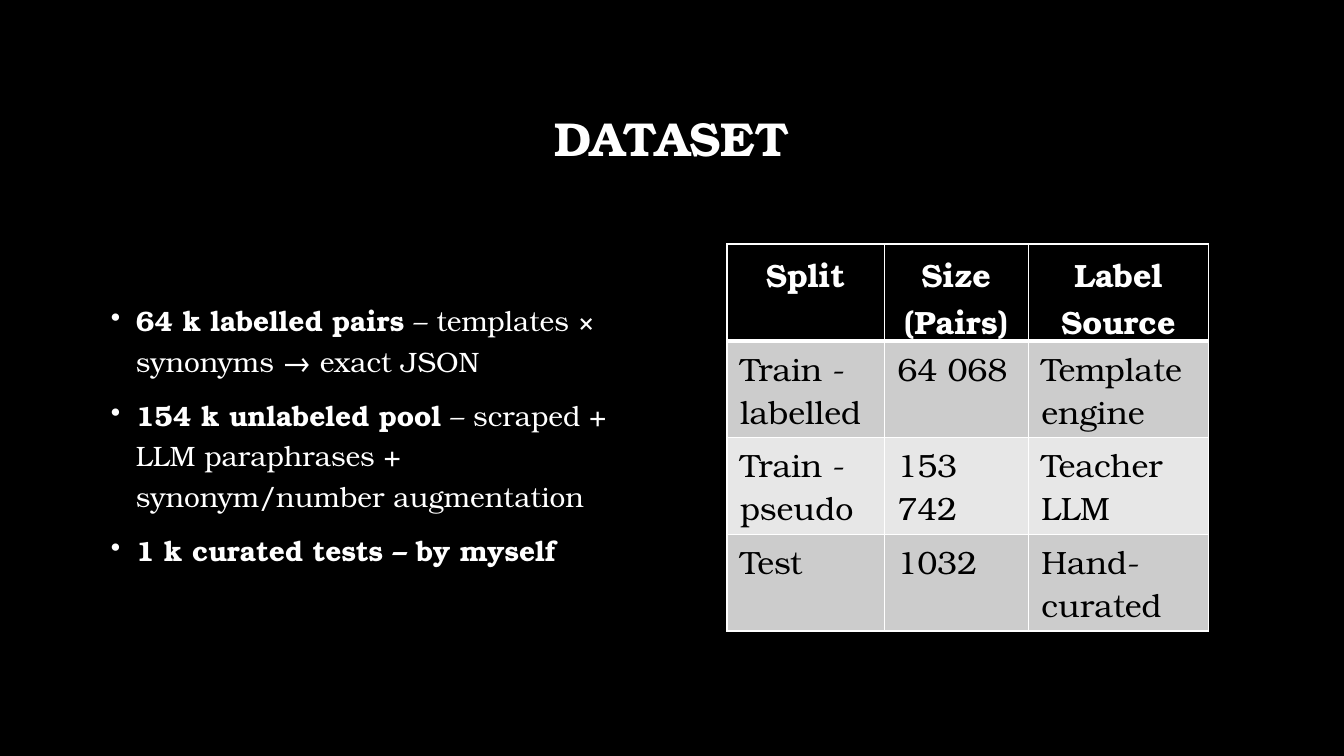
import pptx
import pptx.dml.color
import pptx.enum.text
import pptx.oxml
import pptx.oxml.ns
import pptx.util

Inches = pptx.util.Inches
Pt = pptx.util.Pt
RGBColor = pptx.dml.color.RGBColor
Align = pptx.enum.text.PP_ALIGN
Anchor = pptx.enum.text.MSO_ANCHOR

BLACK = RGBColor(0x00, 0x00, 0x00)
WHITE = RGBColor(0xFF, 0xFF, 0xFF)
GREY = RGBColor(0xCC, 0xCC, 0xCC)
PALE = RGBColor(0xE7, 0xE7, 0xE7)

BULLETS = [
    [("64 k labelled pairs", True),
     (" – templates × synonyms → exact JSON", False)],
    [("154 k unlabeled pool", True),
     (" – scraped + LLM paraphrases + synonym/number augmentation", False)],
    [("1 k curated tests – by myself", True)],
]
SPLITS = [
    ["Split", "Size (Pairs)", "Label Source"],
    ["Train - labelled", "64 068", "Template engine"],
    ["Train - pseudo", "153 742", "Teacher LLM"],
    ["Test", "1032", "Hand-curated"],
]


class Deck:
    font = "TeX Gyre Bonum"

    def __init__(self):
        self.file = pptx.Presentation()
        self.file.slide_width = Inches(13.33)
        self.file.slide_height = Inches(7.5)
        self.slide = self.file.slides.add_slide(self.file.slide_layouts[5])
        fill = self.slide.background.fill
        fill.solid()
        fill.fore_color.rgb = BLACK

    def run(self, para, text, size, color=WHITE, bold=False):
        run = para.add_run()
        run.text = text
        run.font.name = self.font
        run.font.size = Pt(size)
        run.font.bold = bold
        run.font.color.rgb = color

    def title(self, text, left, top, width, height):
        shape = self.slide.shapes.title
        shape.left, shape.top = Inches(left), Inches(top)
        shape.width, shape.height = Inches(width), Inches(height)
        frame = shape.text_frame
        frame.vertical_anchor = Anchor.MIDDLE
        para = frame.paragraphs[0]
        para.alignment = Align.CENTER
        para.line_spacing = 0.9
        self.run(para, text, 34, bold=True)

    def bullets(self, items, left, top, width, height):
        box = self.slide.shapes.add_textbox(
            Inches(left), Inches(top), Inches(width), Inches(height))
        frame = box.text_frame
        frame.word_wrap = True
        for i, item in enumerate(items):
            para = frame.add_paragraph() if i else frame.paragraphs[0]
            props = para._p.get_or_add_pPr()
            props.set("marL", str(Inches(0.25)))
            props.set("indent", str(-Inches(0.25)))
            mark = pptx.oxml.ns.qn("a:buChar")
            props.append(props.makeelement(mark, {"char": "•"}))
            para.line_spacing = 1.2
            para.space_before = Pt(10 if i else 0)
            for text, bold in item:
                self.run(para, text, 20, bold=bold)

    def border(self, cell, sides):
        """Draw white cell edges; sides maps L, R, T, B to points."""
        props = cell._tc.get_or_add_tcPr()
        for i, (side, width) in enumerate(sides.items()):
            props.insert(i, pptx.oxml.parse_xml(
                f'<a:ln{side} {pptx.oxml.ns.nsdecls("a")} w="{Pt(width)}">'
                f'<a:solidFill><a:srgbClr val="{WHITE}"/></a:solidFill>'
                f'</a:ln{side}>'))

    def table(self, rows, left, top, widths, high):
        table = self.slide.shapes.add_table(
            len(rows), len(widths), Inches(left), Inches(top),
            Inches(sum(widths)), Inches(high * len(rows))).table
        for col, width in zip(table.columns, widths):
            col.width = Inches(width)
        for r, row in enumerate(rows):
            head = r == 0
            for c, text in enumerate(row):
                cell = table.cell(r, c)
                cell.margin_left = cell.margin_right = Inches(0.13)
                cell.margin_top = cell.margin_bottom = Inches(0.06)
                cell.fill.solid()
                cell.fill.fore_color.rgb = (
                    BLACK if head else GREY if r % 2 else PALE)
                self.border(cell, {"L": 1, "R": 1, "T": 3 if r == 1 else 1,
                                   "B": 3 if head else 1})
                para = cell.text_frame.paragraphs[0]
                para.alignment = Align.CENTER if head else Align.LEFT
                self.run(para, text, 23, WHITE if head else BLACK, head)


def main():
    deck = Deck()
    deck.title("DATASET", 1, 0.67, 11.32, 1.45)
    deck.bullets(BULLETS, 1, 2.9, 5.49, 2.86)
    deck.table(SPLITS, 7.21, 2.42, [1.56, 1.43, 1.79], 0.96)
    deck.file.save("out.pptx")


if __name__ == "__main__":
    main()
